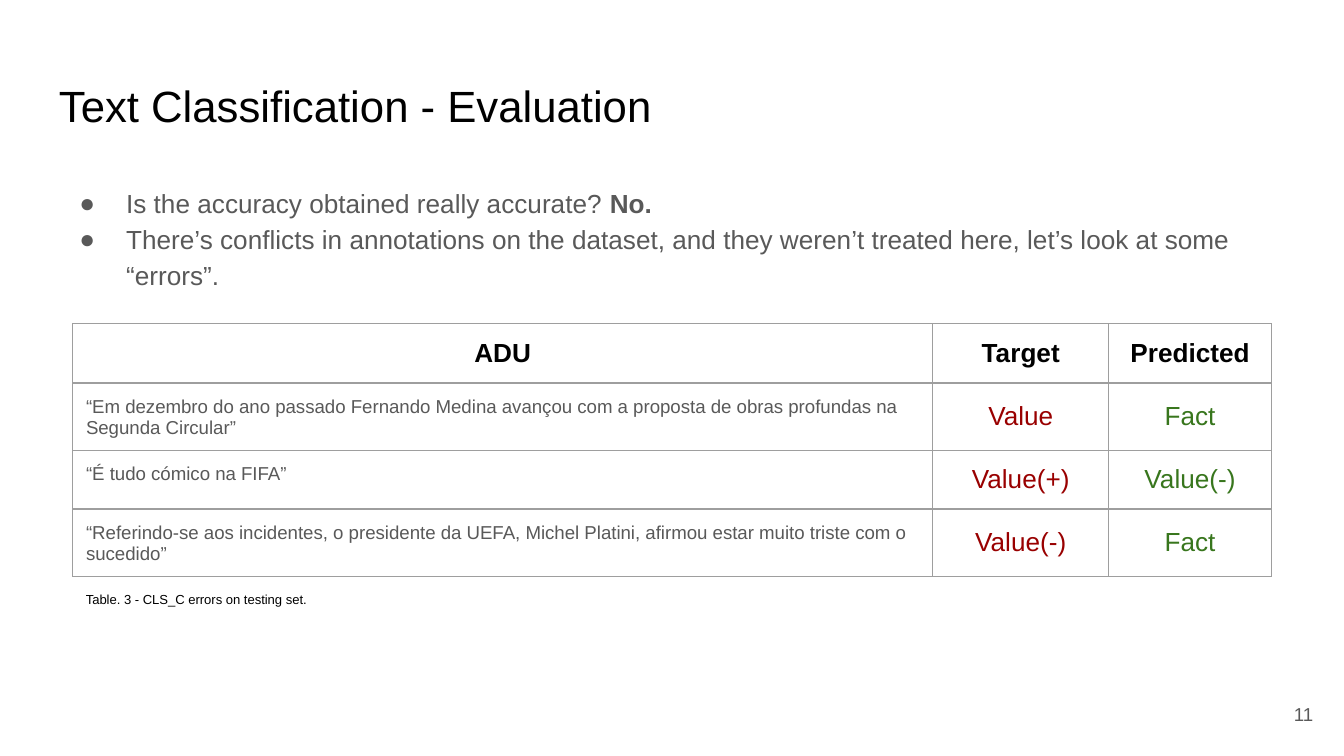
from lxml import etree
from pptx import Presentation
from pptx import util as u
from pptx.dml.color import RGBColor
from pptx.enum import text
from pptx.oxml.ns import qn

BLACK = RGBColor(0x00, 0x00, 0x00)
GRAY = RGBColor(0x59, 0x59, 0x59)
RED = RGBColor(0x99, 0x00, 0x00)
GREEN = RGBColor(0x38, 0x76, 0x1D)
BORDER = RGBColor(0x9E, 0x9E, 0x9E)
FONT = "Arial"
INSET = u.Inches(0.1)
QUOTE_BOTTOM_INSET = u.Inches(0.07)
LEFT, CENTER, RIGHT = text.PP_ALIGN.LEFT, text.PP_ALIGN.CENTER, text.PP_ALIGN.RIGHT
TOP, MIDDLE = text.MSO_ANCHOR.TOP, text.MSO_ANCHOR.MIDDLE

TITLE = "Text Classification - Evaluation"
BULLETS = [
    [("Is the accuracy obtained really accurate? ", False), ("No.", True)],
    [("There’s conflicts in annotations on the dataset, and they weren’t treated here, "
      "let’s look at some “errors”.", False)],
]
HEADERS = ["ADU", "Target", "Predicted"]
ERRORS = [
    ("“Em dezembro do ano passado Fernando Medina avançou com a proposta de obras "
     "profundas na Segunda Circular”", "Value", "Fact"),
    ("“É tudo cómico na FIFA”", "Value(+)", "Value(-)"),
    ("“Referindo-se aos incidentes, o presidente da UEFA, Michel Platini, afirmou estar "
     "muito triste com o sucedido”", "Value(-)", "Fact"),
]
CAPTION = "Table. 3 - CLS_C errors on testing set."
PAGE = "11"

SLIDE_WIDTH = u.Inches(10)
SLIDE_HEIGHT = SLIDE_WIDTH * 9 // 16
COLUMN_WIDTHS = [6.4, 1.31, 1.21]
HEADER_HEIGHT, ROW_HEIGHT = 0.44, 0.43
COLUMN_STYLES = [(10, GRAY, LEFT, TOP), (14, RED, CENTER, MIDDLE), (14, GREEN, CENTER, MIDDLE)]
HEADER_STYLE = (14, BLACK, CENTER, MIDDLE)
MARGIN, TABLE_LEFT, TABLE_TOP = 0.34, 0.54, 2.41


def style_font(font, size, color, bold=False):
    font.name, font.size, font.bold = FONT, u.Pt(size), bold
    font.color.rgb = color


def set_insets(target, bottom=INSET):
    target.margin_left = target.margin_right = target.margin_top = INSET
    target.margin_bottom = bottom


def add_text(slide, box, size, color, content="", align=LEFT, anchor=TOP):
    frame = slide.shapes.add_textbox(*map(u.Inches, box)).text_frame
    frame.word_wrap = True
    frame.vertical_anchor = anchor
    set_insets(frame)
    frame.text = content
    paragraph = frame.paragraphs[0]
    paragraph.alignment = align
    for run in paragraph.runs:
        style_font(run.font, size, color)
    return frame


def add_bullet(paragraph, color):
    properties = paragraph._p.get_or_add_pPr()
    properties.set("marL", str(u.Inches(0.5)))
    properties.set("indent", str(-u.Pt(25)))
    bullet_color = etree.SubElement(properties, qn("a:buClr"))
    etree.SubElement(bullet_color, qn("a:srgbClr"), val=str(color))
    etree.SubElement(properties, qn("a:buFont"), typeface=FONT)
    etree.SubElement(properties, qn("a:buChar"), char="●")


def add_bullets(slide):
    frame = add_text(slide, (MARGIN, 1.26, 8.92, 3.74), 14, GRAY)
    for index, parts in enumerate(BULLETS):
        paragraph = frame.add_paragraph() if index else frame.paragraphs[0]
        paragraph.line_spacing = 1.15
        add_bullet(paragraph, GRAY)
        for content, bold in parts:
            run = paragraph.add_run()
            run.text = content
            style_font(run.font, 14, GRAY, bold)


def set_borders(cell):
    properties = cell._tc.get_or_add_tcPr()
    for index, side in enumerate(("a:lnL", "a:lnR", "a:lnT", "a:lnB")):
        line = etree.Element(qn(side), w=str(u.Pt(0.75)))
        fill = etree.SubElement(line, qn("a:solidFill"))
        etree.SubElement(fill, qn("a:srgbClr"), val=str(BORDER))
        properties.insert(index, line)


def fill_cell(cell, content, style, bold):
    size, color, align, anchor = style
    cell.text = content
    cell.vertical_anchor = anchor
    set_insets(cell, QUOTE_BOTTOM_INSET if anchor == TOP else INSET)
    paragraph = cell.text_frame.paragraphs[0]
    paragraph.alignment = align
    style_font(paragraph.runs[0].font, size, color, bold)
    cell.fill.background()
    set_borders(cell)


def add_error_table(slide):
    rows = [HEADERS, *ERRORS]
    heights = [HEADER_HEIGHT] + [ROW_HEIGHT] * len(ERRORS)
    box = (TABLE_LEFT, TABLE_TOP, sum(COLUMN_WIDTHS), sum(heights))
    table = slide.shapes.add_table(len(rows), len(HEADERS), *map(u.Inches, box)).table
    table.horz_banding = table.first_row = False
    for column, width in zip(table.columns, COLUMN_WIDTHS):
        column.width = u.Inches(width)
    for row_index, (contents, height) in enumerate(zip(rows, heights)):
        table.rows[row_index].height = u.Inches(height)
        header = row_index == 0
        for column_index, content in enumerate(contents):
            style = HEADER_STYLE if header else COLUMN_STYLES[column_index]
            fill_cell(table.cell(row_index, column_index), content, style, header)


def main():
    presentation = Presentation()
    presentation.slide_width, presentation.slide_height = SLIDE_WIDTH, SLIDE_HEIGHT
    slide = presentation.slides.add_slide(presentation.slide_layouts[6])
    add_text(slide, (MARGIN, 0.49, 10 - 2 * MARGIN, 0.63), 23.4, BLACK, TITLE)
    add_bullets(slide)
    add_text(slide, (9.27, 5.1, 0.6, 0.43), 10, GRAY, PAGE, RIGHT, MIDDLE)
    add_error_table(slide)
    add_text(slide, (TABLE_LEFT, 4.34, 3.38, 0.32), 7, BLACK, CAPTION)
    presentation.save("out.pptx")


if __name__ == "__main__":
    main()
